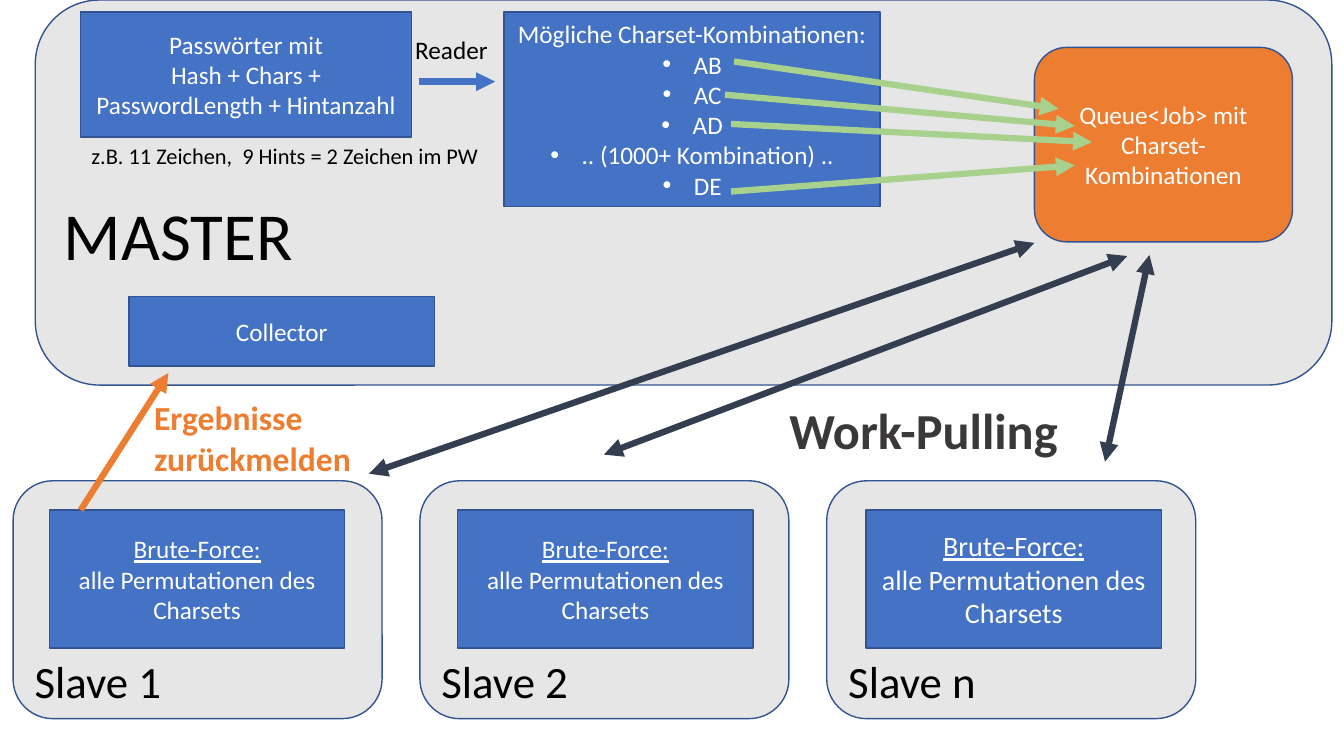
from lxml import etree
from pptx import Presentation
from pptx.dml.color import RGBColor
from pptx.enum.shapes import MSO_CONNECTOR, MSO_SHAPE
from pptx.enum.text import MSO_ANCHOR, PP_ALIGN
from pptx.oxml.ns import qn
from pptx.util import Inches, Pt

RECT, ROUND = MSO_SHAPE.RECTANGLE, MSO_SHAPE.ROUNDED_RECTANGLE
STRAIGHT = MSO_CONNECTOR.STRAIGHT
LEFT, CENTER = PP_ALIGN.LEFT, PP_ALIGN.CENTER
TOP, MIDDLE, BOTTOM = MSO_ANCHOR.TOP, MSO_ANCHOR.MIDDLE, MSO_ANCHOR.BOTTOM

WHITE = RGBColor(0xFF, 0xFF, 0xFF)
BLACK = RGBColor(0x00, 0x00, 0x00)
GRAY = RGBColor(0xE7, 0xE6, 0xE6)
DARK_GRAY = RGBColor(0x3B, 0x38, 0x38)
BLUE = RGBColor(0x44, 0x72, 0xC4)
OUTLINE = RGBColor(0x32, 0x54, 0x91)
ORANGE = RGBColor(0xED, 0x7D, 0x31)
GREEN = RGBColor(0xA9, 0xD1, 0x8E)
NAVY = RGBColor(0x33, 0x3F, 0x50)


def write(sp, text, size=18, color=WHITE, bold=False, align=CENTER, anchor=MIDDLE,
          underline_first=False, bullets=False):
    tf = sp.text_frame
    tf.word_wrap = True
    tf.vertical_anchor = anchor
    for i, line in enumerate(text.split("\n")):
        p = tf.paragraphs[0] if i == 0 else tf.add_paragraph()
        p.alignment = align
        r = p.add_run()
        r.text = line
        r.font.name = "Calibri"
        r.font.size = Pt(size)
        r.font.bold = bold
        r.font.color.rgb = color
        r.font.underline = underline_first and i == 0
        if bullets and i > 0:
            pPr = p._p.get_or_add_pPr()
            pPr.set("marL", str(Inches(0.31)))
            pPr.set("indent", str(-Inches(0.31)))
            etree.SubElement(pPr, qn("a:buFont")).set("typeface", "Arial")
            etree.SubElement(pPr, qn("a:buChar")).set("char", "•")


def add_box(shape, x, y, w, h, fill):
    sp = s.shapes.add_shape(shape, Inches(x), Inches(y), Inches(w), Inches(h))
    sp.shadow.inherit = False
    sp.fill.solid()
    sp.fill.fore_color.rgb = fill
    sp.line.color.rgb = OUTLINE
    sp.line.width = Pt(1)
    return sp


prs = Presentation()
prs.slide_width, prs.slide_height = Inches(13.33), Inches(7.5)
s = prs.slides.add_slide(prs.slide_layouts[6])

master = add_box(ROUND, 0.35, 0, 12.86, 3.82, GRAY)
master.text_frame.margin_top = Inches(0.86)
write(master, "MASTER", size=48, color=BLACK, align=LEFT)

passwords = add_box(RECT, 0.8, 0.12, 3.28, 1.24, BLUE)
write(passwords, "Passwörter mit\nHash + Chars + PasswordLength + Hintanzahl")

charsets = add_box(RECT, 5, 0.12, 3.73, 1.93, BLUE)
write(charsets, "Mögliche Charset-Kombinationen:\nAB\nAC\nAD\n.. (1000+ Kombination) ..\nDE",
      bullets=True)

queue = add_box(ROUND, 10.26, 0.47, 2.56, 1.93, ORANGE)
write(queue, "Queue<Job> mit Charset-Kombinationen")

collector = add_box(RECT, 1.28, 2.94, 3.03, 0.69, BLUE)
write(collector, "Collector")

for i, (name, size) in enumerate([("Slave 1", 18), ("Slave 2", 18), ("Slave n", 20)]):
    slave = add_box(ROUND, 0.13 + 4.035 * i, 4.77, 3.66, 2.36, GRAY)
    slave.text_frame.margin_bottom = 0
    write(slave, name, size=32, color=BLACK, align=LEFT, anchor=BOTTOM)
    job = add_box(RECT, 0.49 + 4.05 * i, 5.06, 2.93, 1.37, BLUE)
    write(job, "Brute-Force:\nalle Permutationen des Charsets", size=size, underline_first=True)

arrows = [
    (4.16, 0.81, 4.91, 0.81, BLUE, False),
    (7.28, 0.61, 10.5, 1.08, GREEN, False),
    (7.19, 0.94, 10.66, 1.25, GREEN, False),
    (7.25, 1.23, 10.83, 1.41, GREEN, False),
    (7.25, 1.9, 10.66, 1.64, GREEN, False),
    (11.4, 2.53, 10.96, 4.58, NAVY, True),
    (11.18, 2.54, 5.99, 4.51, NAVY, True),
    (10.26, 2.41, 3.66, 4.7, NAVY, True),
    (0.8, 5.06, 1.67, 3.7, ORANGE, False),
]
for x1, y1, x2, y2, color, both_ends in arrows:
    arrow = s.shapes.add_connector(STRAIGHT, Inches(x1), Inches(y1), Inches(x2), Inches(y2))
    arrow.line.color.rgb = color
    arrow.line.width = Pt(4.5)
    ln = arrow.line._get_or_add_ln()
    for end in ["a:headEnd", "a:tailEnd"] if both_ends else ["a:tailEnd"]:
        etree.SubElement(ln, qn(end)).set("type", "triangle")
    etree.SubElement(arrow._element.spPr, qn("a:effectLst"))

labels = [
    ("Reader", 4.02, 0.29, 0.94, 0.4, 18, BLACK, False, LEFT),
    ("z.B. 11 Zeichen,  9 Hints = 2 Zeichen im PW", 0.6, 1.36, 4.45, 0.37, 16, BLACK, False, CENTER),
    ("Work-Pulling", 7.73, 3.91, 3.1, 0.71, 36, DARK_GRAY, True, LEFT),
    ("Ergebnisse zurückmelden", 1.43, 3.89, 2.37, 0.91, 24, ORANGE, True, LEFT),
]
for text, x, y, w, h, size, color, bold, align in labels:
    label = s.shapes.add_textbox(Inches(x), Inches(y), Inches(w), Inches(h))
    write(label, text, size=size, color=color, bold=bold, align=align, anchor=TOP)

prs.save("out.pptx")
